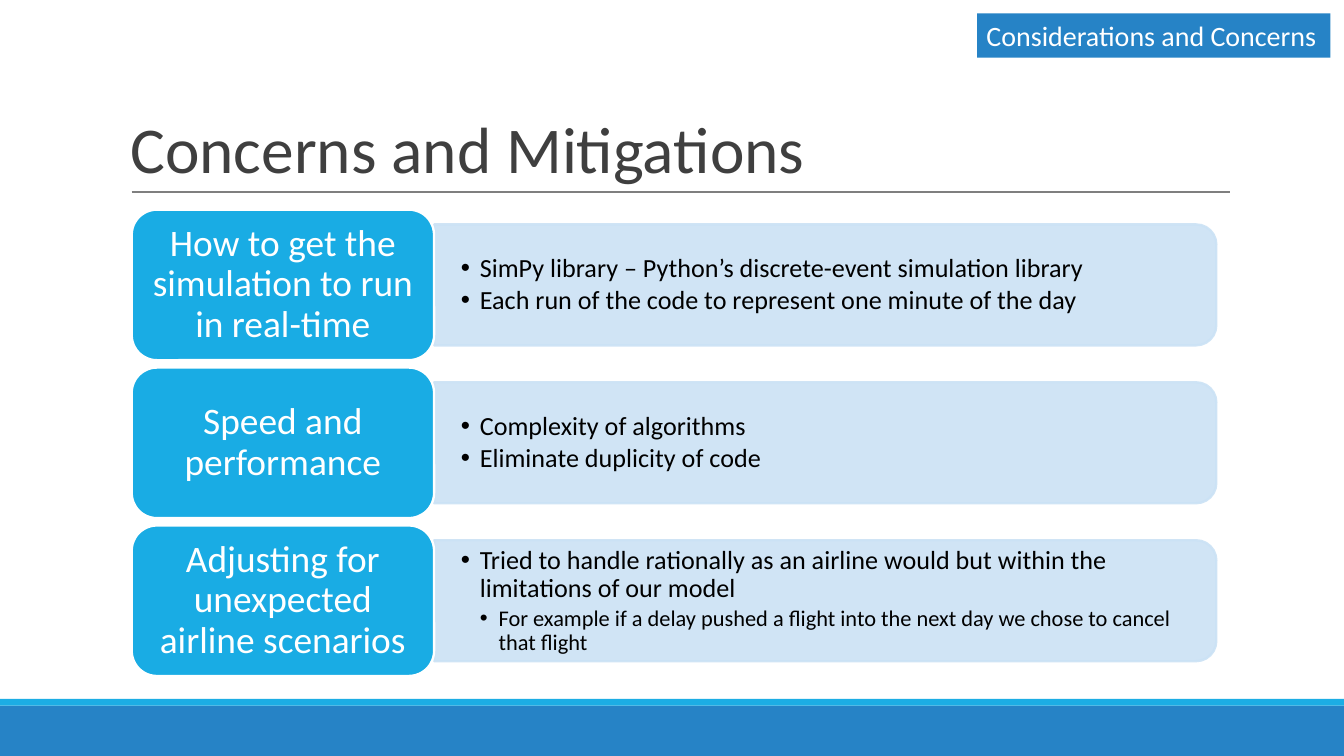
import dataclasses

import lxml.etree
import pptx
import pptx.dml.color
import pptx.enum.shapes
import pptx.enum.text
import pptx.oxml.ns
import pptx.util

Inches = pptx.util.Inches
Pt = pptx.util.Pt
Shape = pptx.enum.shapes.MSO_SHAPE
Align = pptx.enum.text.PP_ALIGN
Anchor = pptx.enum.text.MSO_ANCHOR
qn = pptx.oxml.ns.qn


@dataclasses.dataclass(frozen=True)
class Theme:
    font: str = "Calibri"
    blue: str = "2683C6"
    cyan: str = "1CADE4"
    card: str = "19ACE4"
    panel: str = "CBE2F5"
    rule: str = "7F7F7F"
    heading: str = "3F3F3F"
    dark: str = "000000"
    light: str = "FFFFFF"
    title_size: float = 35
    card_size: float = 20
    tag_size: float = 15
    list_sizes: tuple = (14, 12)


CONCERNS = [
    ("How to get the simulation to run in real-time",
     [(0, "SimPy library – Python’s discrete-event simulation library"),
      (0, "Each run of the code to represent one minute of the day")]),
    ("Speed and performance",
     [(0, "Complexity of algorithms"),
      (0, "Eliminate duplicity of code")]),
    ("Adjusting for unexpected airline scenarios",
     [(0, "Tried to handle rationally as an airline would but within the limitations of our model"),
      (1, "For example if a delay pushed a flight into the next day we chose to cancel that flight")]),
]
COMPARISON_LAYOUT = 4
PAGE_WIDTH = 10
PAGE_HEIGHT = PAGE_WIDTH * 9 / 16
BAND_TOP = 5.25
CARD_TOP, LAST_CARD_TOP, CARD_HEIGHT = 1.56, 3.91, 1.12
CARD_PITCH = (LAST_CARD_TOP - CARD_TOP) / (len(CONCERNS) - 1)
PANEL_HEIGHT, PANEL_LENGTH, LIST_HEIGHT = 0.9, 5.82, 0.81


def rgb(code):
    return pptx.dml.color.RGBColor.from_string(code)


def place(box, left, top, width, height):
    box.left, box.top = Inches(left), Inches(top)
    box.width, box.height = Inches(width), Inches(height)


def set_frame(frame, inset_x, inset_y, anchor):
    frame.word_wrap = True
    frame.auto_size = pptx.enum.text.MSO_AUTO_SIZE.NONE
    frame.vertical_anchor = anchor
    frame.margin_left = frame.margin_right = Inches(inset_x)
    frame.margin_top = frame.margin_bottom = Inches(inset_y)


def write(para, text, *, font, size, color, align=Align.LEFT, line=1.0, before=0):
    para.alignment = align
    para.line_spacing = line
    para.space_before = Pt(before)
    span = para.add_run()
    span.text = text
    span.font.name = font
    span.font.size = Pt(size)
    span.font.bold = False
    span.font.color.rgb = rgb(color)


def add_bullet(para, left, hang):
    properties = para._p.get_or_add_pPr()
    properties.set("marL", str(Inches(left)))
    properties.set("indent", str(-Inches(hang)))
    lxml.etree.SubElement(properties, qn("a:buChar")).set("char", "•")


def set_opacity(shape, percent):
    for color in shape._element.spPr.iter(qn("a:srgbClr")):
        lxml.etree.SubElement(color, qn("a:alpha")).set("val", str(percent * 1000))


class SlideBuilder:
    def __init__(self, page, theme):
        self.page = page
        self.theme = theme

    def title(self, text):
        box = self.page.shapes.title
        place(box, 0.9, 0.24, 8.25, 1.19)
        set_frame(box.text_frame, 0.07, 0.04, Anchor.BOTTOM)
        write(box.text_frame.paragraphs[0], text, font=self.theme.font,
              size=self.theme.title_size, color=self.theme.heading, line=0.85)

    def shape(self, kind, left, top, width, height, fill, outline=None):
        shape = self.page.shapes.add_shape(
            kind, Inches(left), Inches(top), Inches(width), Inches(height))
        shape.shadow.inherit = False
        shape.fill.solid()
        shape.fill.fore_color.rgb = rgb(fill)
        if outline:
            shape.line.color.rgb = rgb(outline)
            shape.line.width = Pt(1.25)
        else:
            shape.line.fill.background()
        return shape

    def rule(self, left, right, y):
        line = self.page.shapes.add_connector(
            pptx.enum.shapes.MSO_CONNECTOR.STRAIGHT,
            Inches(left), Inches(y), Inches(right), Inches(y))
        line.line.color.rgb = rgb(self.theme.rule)
        line.line.width = Pt(0.75)
        lxml.etree.SubElement(line._element.spPr, qn("a:effectLst"))

    def panel(self, middle):
        """Draw an upright shape turned a quarter, so its round corners face right."""
        shape = self.shape(Shape.ROUND_2_SAME_RECTANGLE, 5.69, middle - PANEL_LENGTH / 2,
                           PANEL_HEIGHT, PANEL_LENGTH, self.theme.panel, self.theme.panel)
        shape.rotation = 90
        shape.adjustments[0] = 0.167
        set_opacity(shape, 90)

    def bullets(self, box, middle, items):
        """Fill a body placeholder and bring it in front of its panel."""
        box._element.getparent().append(box._element)
        place(box, 3.23, middle - LIST_HEIGHT / 2, 5.78, LIST_HEIGHT)
        frame = box.text_frame
        set_frame(frame, 0.2, 0.1, Anchor.MIDDLE)
        for index, (level, text) in enumerate(items):
            para = frame.add_paragraph() if index else frame.paragraphs[0]
            para.level = level + 1
            write(para, text, font=self.theme.font, size=self.theme.list_sizes[level],
                  color=self.theme.dark, line=0.9, before=2 if index else 0)
            add_bullet(para, 0.14 * (level + 1), 0.14)

    def card(self, top, text):
        shape = self.shape(Shape.ROUNDED_RECTANGLE, 0.98, top, 2.25, CARD_HEIGHT,
                           self.theme.card, self.theme.light)
        shape.adjustments[0] = 0.167
        set_frame(shape.text_frame, 0.08, 0.04, Anchor.MIDDLE)
        write(shape.text_frame.paragraphs[0], text, font=self.theme.font,
              size=self.theme.card_size, color=self.theme.light,
              align=Align.CENTER, line=0.9)

    def tag(self, text):
        shape = self.shape(Shape.RECTANGLE, 7.27, 0.1, 2.63, 0.33, self.theme.blue)
        set_frame(shape.text_frame, 0.07, 0.04, Anchor.TOP)
        write(shape.text_frame.paragraphs[0], text, font=self.theme.font,
              size=self.theme.tag_size, color=self.theme.light)


def main():
    deck = pptx.Presentation()
    deck.slide_width, deck.slide_height = Inches(PAGE_WIDTH), Inches(PAGE_HEIGHT)
    page = deck.slides.add_slide(deck.slide_layouts[COMPARISON_LAYOUT])
    theme = Theme()
    builder = SlideBuilder(page, theme)

    builder.shape(Shape.RECTANGLE, 0, BAND_TOP, PAGE_WIDTH, PAGE_HEIGHT - BAND_TOP, theme.blue)
    builder.shape(Shape.RECTANGLE, 0, BAND_TOP - 0.05, PAGE_WIDTH, 0.05, theme.cyan)
    builder.rule(0.98, 9.15, 1.43)
    builder.title("Concerns and Mitigations")

    *bodies, spare = list(page.placeholders)[1:]
    spare._element.getparent().remove(spare._element)
    for row, (body, (concern, mitigations)) in enumerate(zip(bodies, CONCERNS)):
        top = CARD_TOP + row * CARD_PITCH
        middle = top + CARD_HEIGHT / 2
        builder.panel(middle)
        builder.bullets(body, middle, mitigations)
        builder.card(top, concern)

    builder.tag("Considerations and Concerns")
    deck.save("out.pptx")


if __name__ == "__main__":
    main()
